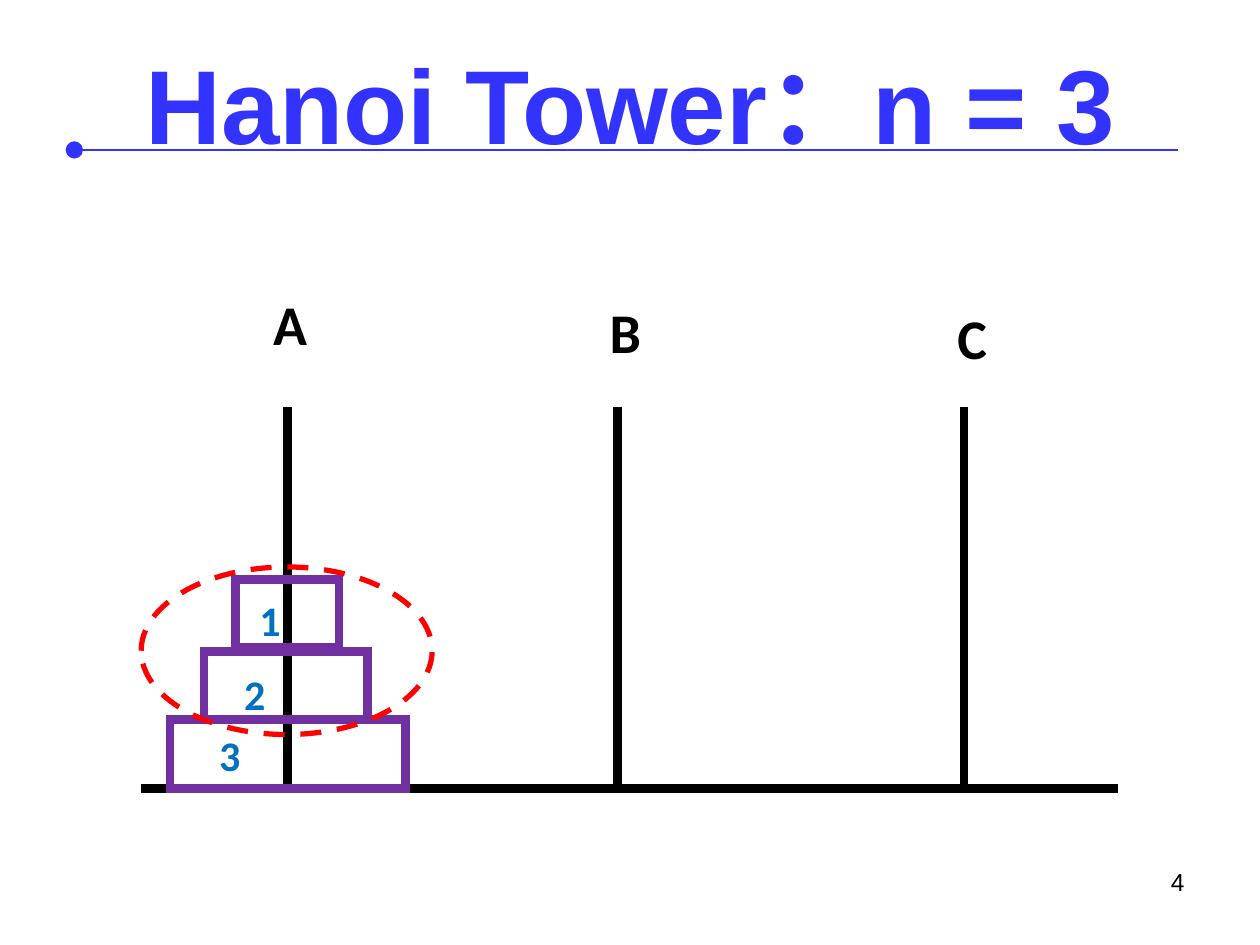
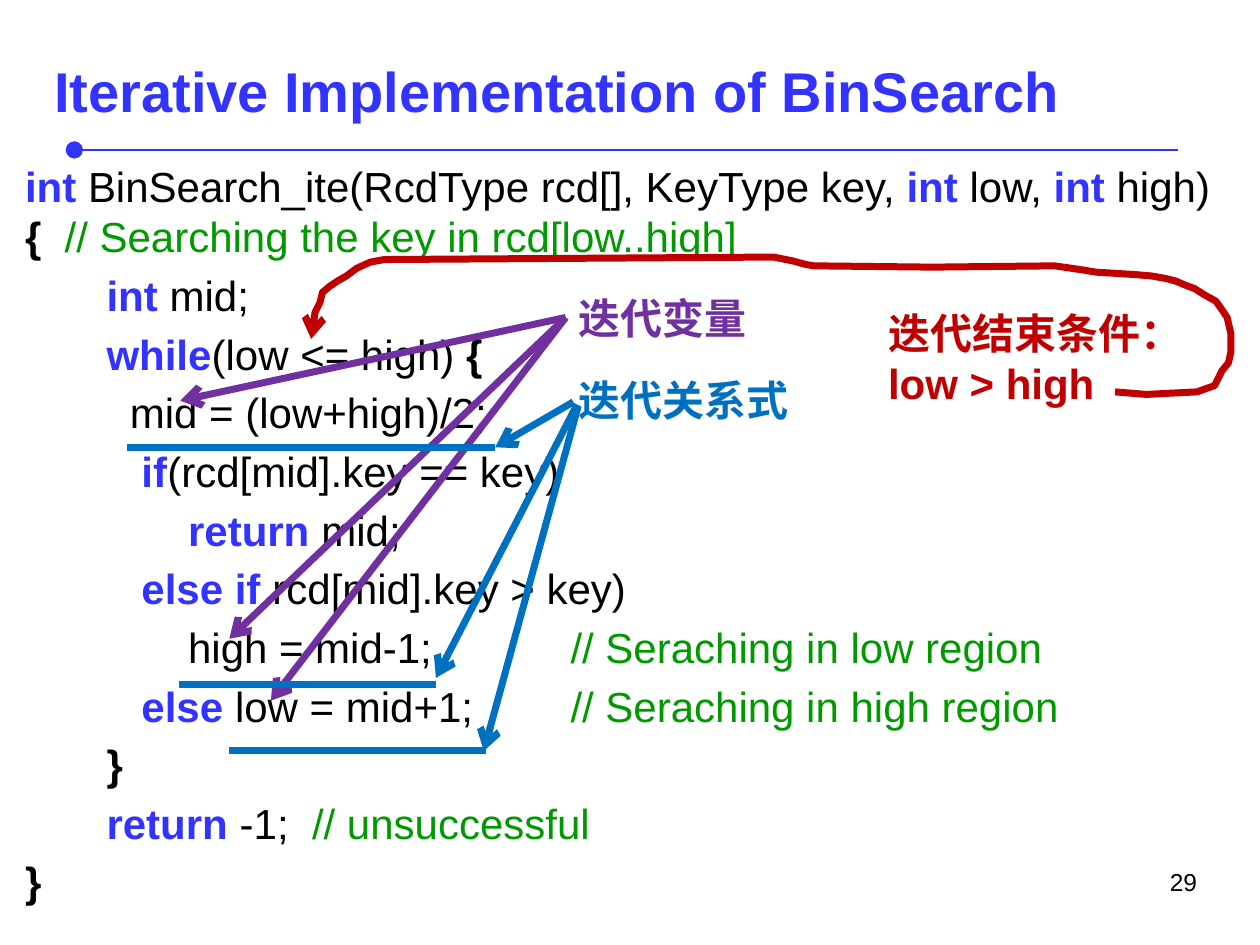
from lxml import etree
from pptx import Presentation
from pptx.dml.color import RGBColor
from pptx.enum.dml import MSO_LINE
from pptx.enum.shapes import MSO_CONNECTOR, MSO_SHAPE
from pptx.enum.text import MSO_ANCHOR, MSO_AUTO_SIZE, PP_ALIGN
from pptx.oxml.ns import qn
from pptx.util import Inches, Pt

BLUE = RGBColor(0x33, 0x33, 0xFF)
BLACK = RGBColor(0, 0, 0)
PURPLE = RGBColor(0x70, 0x30, 0xA0)
AZURE = RGBColor(0x00, 0x70, 0xC0)
RED = RGBColor(0xFF, 0, 0)
CRIMSON = RGBColor(0xC0, 0, 0)
GREEN = RGBColor(0, 0x99, 0)

STRAIGHT = MSO_CONNECTOR.STRAIGHT
RECT, OVAL = MSO_SHAPE.RECTANGLE, MSO_SHAPE.OVAL
DASH = MSO_LINE.DASH
LEFT, CENTER, RIGHT = PP_ALIGN.LEFT, PP_ALIGN.CENTER, PP_ALIGN.RIGHT
BOTTOM = MSO_ANCHOR.BOTTOM
NO_FIT = MSO_AUTO_SIZE.NONE

# Line ends
DOT = {"type": "oval", "w": "lg", "len": "lg"}
ARROW = {"type": "arrow"}

# Styles of code runs: colour and weight
WORD, PLAIN, BRACE, NOTE = (BLUE, True), (BLACK, False), (BLACK, True), (GREEN, False)

CODE = [
    [("int ", WORD), ("BinSearch_ite(RcdType rcd[], KeyType key, ", PLAIN),
     ("int ", WORD), ("low, ", PLAIN), ("int ", WORD), ("high) ", PLAIN),
     ("{  ", BRACE), ("// Searching the key in rcd[low..high]", NOTE)],
    [("       int ", WORD), ("mid;", PLAIN)],
    [("       while", WORD), ("(low <= high) ", PLAIN), ("{", BRACE)],
    [("         mid = (low+high)/2;", PLAIN)],
    [("          if", WORD), ("(rcd[mid].key == key)", PLAIN)],
    [("              return ", WORD), ("mid;", PLAIN)],
    [("          else if ", WORD), ("rcd[mid].key > key)", PLAIN)],
    [("              high = mid-1;\t", PLAIN), ("// Seraching in low region", NOTE)],
    [("          else ", WORD), ("low = mid+1;\t", PLAIN),
     ("// Seraching in high region", NOTE)],
    [("       }", BRACE)],
    [("       return ", WORD), ("-1;  ", PLAIN), ("// unsuccessful", NOTE)],
    [("}", BRACE)],
]

LOOP = [
    (8.85, 3.11), (9.1, 3.13), (9.3, 3.12), (9.5, 3.11), (9.64, 3.06), (9.7, 2.94),
    (9.75, 2.88), (9.77, 2.79), (9.77, 2.65), (9.74, 2.52), (9.7, 2.46), (9.65, 2.39),
    (9.56, 2.34), (9.48, 2.29), (9.4, 2.26), (9.33, 2.23), (9.25, 2.21), (9.14, 2.19),
    (9.02, 2.18), (8.7, 2.16), (8.58, 2.14), (8.37, 2.11), (7.4, 2.12), (6.46, 2.11),
    (6.4, 2.1), (6.29, 2.07), (6.14, 2.04), (3.05, 2.06), (2.94, 2.08), (2.83, 2.13),
    (2.75, 2.19), (2.68, 2.23), (2.62, 2.27), (2.56, 2.32), (2.54, 2.4), (2.5, 2.48),
    (2.49, 2.58), (2.47, 2.69),
]


def put(item, values):
    for name, value in values.items():
        setattr(item, name, value)


class Deck:
    def __init__(self):
        self.prs = Presentation()
        self.prs.slide_width, self.prs.slide_height = Inches(10), Inches(7.5)
        self.slide = None

    def open(self, title, box, size, align, foot, number, left):
        """Start a slide with its title, rule and page number."""
        self.slide = self.prs.slides.add_slide(self.prs.slide_layouts[5])
        self.line((0.59, 1.19), (9.35, 1.19), BLUE, 1.5, head=DOT)
        shape = self.slide.shapes.title
        put(shape, dict(zip(("left", "top", "width", "height"), map(Inches, box))))
        frame = shape.text_frame
        put(frame, {"auto_size": NO_FIT, "word_wrap": True, "vertical_anchor": BOTTOM,
                    "margin_bottom": Inches(foot)})
        para = frame.paragraphs[0]
        para.alignment = align
        self.run(para, title, size, BLUE)
        self.text(number, (left, 6.83, 2.33, 0.52), 14, BLACK, bold=False, align=RIGHT)

    def run(self, para, text, size, color, bold=True, font="Arial"):
        run = para.add_run()
        run.text = text
        put(run.font, {"size": Pt(size), "bold": bold, "name": font})
        run.font.color.rgb = color

    def text(self, text, box, size, color, bold=True, font="Arial", align=LEFT, wrap=True):
        shape = self.slide.shapes.add_textbox(*map(Inches, box))
        frame = shape.text_frame
        frame.word_wrap = wrap
        for i, row in enumerate(text.split("\n")):
            para = frame.add_paragraph() if i else frame.paragraphs[0]
            para.alignment = align
            self.run(para, row, size, color, bold, font)
        return shape

    def stroke(self, shape, color, width, head=None, tail=None, join="miter"):
        shape.line.color.rgb = color
        shape.line.width = Pt(width)
        edge = shape.line._get_or_add_ln()
        etree.SubElement(edge, qn("a:" + join))
        for tag, tip in (("a:headEnd", head), ("a:tailEnd", tail)):
            if tip:
                etree.SubElement(edge, qn(tag), tip)

    def line(self, start, end, color, width, head=None, tail=None):
        link = self.slide.shapes.add_connector(STRAIGHT, *map(Inches, start + end))
        self.stroke(link, color, width, head, tail)
        etree.SubElement(link._element.spPr, qn("a:effectLst"))
        return link

    def outline(self, kind, box, color, width):
        shape = self.slide.shapes.add_shape(kind, *map(Inches, box))
        shape.shadow.inherit = False
        shape.fill.background()
        self.stroke(shape, color, width)
        return shape

    def curve(self, points, color, width):
        """Draw an open stroke that ends in an arrow."""
        spots = [(Inches(x), Inches(y)) for x, y in points]
        build = self.slide.shapes.build_freeform(*spots[0])
        build.add_line_segments(spots[1:], close=False)
        shape = build.convert_to_shape()
        shape.shadow.inherit = False
        shape.fill.background()
        self.stroke(shape, color, width, tail=ARROW, join="round")

    def code(self, rows, box):
        shape = self.slide.shapes.add_textbox(*map(Inches, box))
        frame = shape.text_frame
        frame.word_wrap = True
        for i, row in enumerate(rows):
            para = frame.add_paragraph() if i else frame.paragraphs[0]
            put(para, {"line_spacing": Pt(29), "space_before": Pt(4.5 if i else 0)})
            if any("\t" in text for text, _ in row):
                tabs = etree.SubElement(para._p.get_or_add_pPr(), qn("a:tabLst"))
                stop = etree.SubElement(tabs, qn("a:tab"))
                stop.set("pos", str(Inches(4.33)))
                stop.set("algn", "l")
            for text, (color, bold) in row:
                self.run(para, text, 24, color, bold)


def tower(deck):
    deck.open("Hanoi Tower：n = 3", (0.69, 0.11, 8.62, 1.45), 60, CENTER, 0.25, "4", 7.17)
    base = 6.26
    deck.line((1.12, base), (8.87, base), BLACK, 5)
    for name, peg, left, top in (("A", 2.28, 2.07, 2.25), ("B", 4.9, 4.74, 2.31),
                                 ("C", 7.65, 7.5, 2.36)):
        deck.line((peg, 3.23), (peg, base), BLACK, 5)
        deck.text(name, (left, top, 0.35, 0.64), 32, BLACK, font="Calibri", wrap=False)
    disks = (
        ("1", (1.87, 4.6, 0.82, 0.54), (1.96, 4.67)),
        ("2", (1.62, 5.17, 1.3, 0.54), (1.84, 5.26)),
        ("3", (1.35, 5.71, 1.87, 0.55), (1.64, 5.74)),
    )
    for name, box, spot in disks:
        deck.outline(RECT, box, PURPLE, 5)
        deck.text(name, spot + (0.23, 0.5), 24, AZURE, font="Calibri")
    ring = deck.outline(OVAL, (1.12, 4.5, 2.31, 1.33), RED, 3)
    ring.line.dash_style = DASH


def search(deck):
    deck.open("Iterative Implementation of BinSearch", (0.33, 0.31, 9.05, 0.82),
              32, LEFT, 0.15, "29", 7.27)
    deck.code(CODE, (0.1, 1.22, 9.78, 6.13))
    label = deck.text("迭代变量", (4.49, 2.27, 1.55, 0.5), 24, PURPLE, wrap=False)
    for end in ((1.43, 3.18), (1.82, 5.07), (2.15, 5.56)):
        link = deck.line((4.49, 2.52), end, PURPLE, 4, tail=ARROW)
        link.begin_connect(label, 1)
    deck.text("迭代关系式", (4.49, 2.92, 1.89, 0.5), 24, AZURE, wrap=False)
    for left, right, y in ((1.01, 3.93, 3.55), (1.42, 3.46, 5.43), (1.82, 3.86, 5.96)):
        deck.line((left, y), (right, y), AZURE, 4)
    for start, end in (((4.55, 3.19), (3.93, 3.55)), ((4.58, 3.21), (3.46, 5.38)),
                       ((4.59, 3.22), (3.84, 5.96))):
        deck.line(start, end, AZURE, 4, tail=ARROW)
    deck.text("迭代结束条件：\nlow > high", (6.95, 2.39, 2.57, 0.91), 24, CRIMSON, wrap=False)
    deck.curve(LOOP, CRIMSON, 4)


def main():
    deck = Deck()
    tower(deck)
    search(deck)
    deck.prs.save("out.pptx")


if __name__ == "__main__":
    main()
